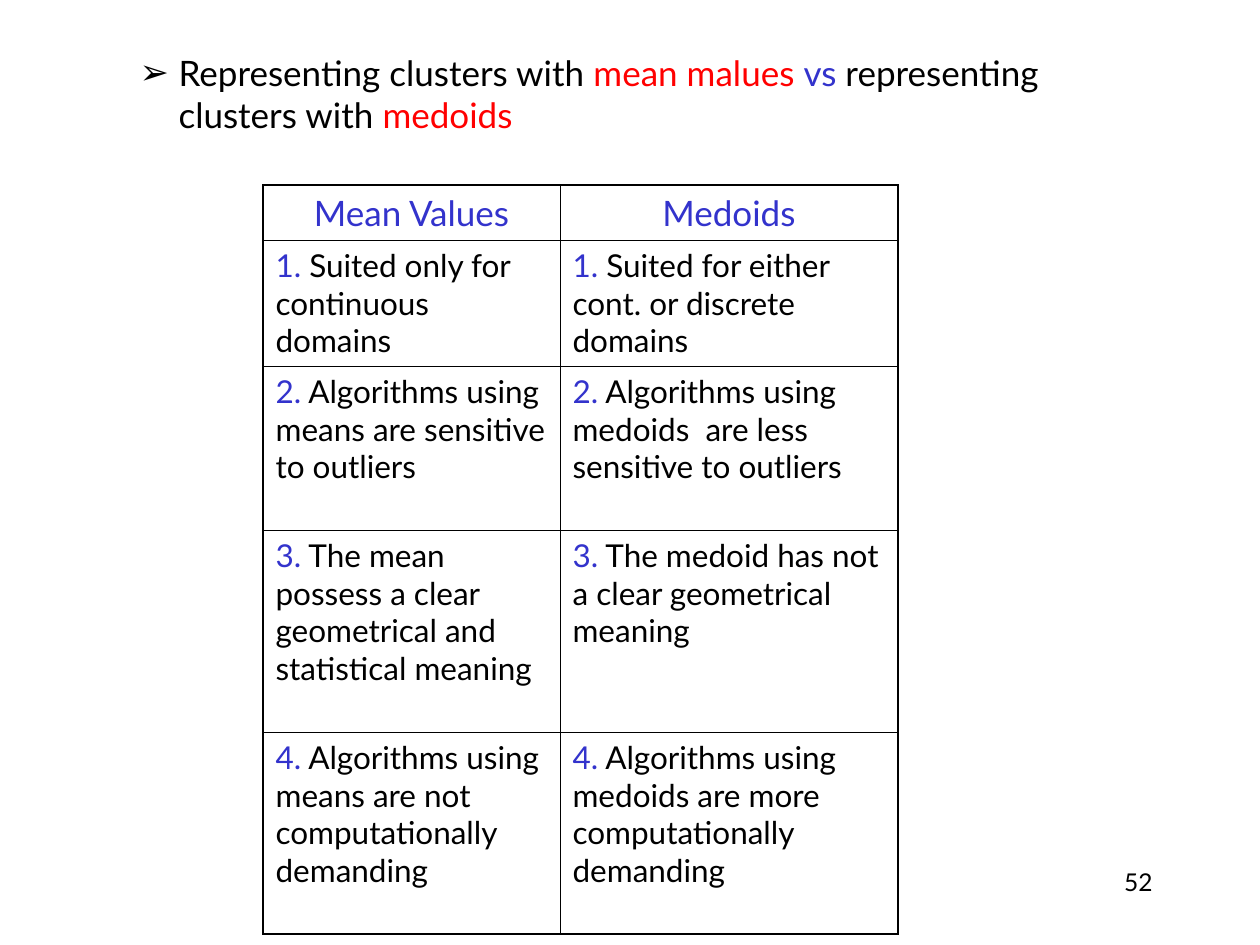
import pptx
import pptx.dml.color
import pptx.enum.text
import pptx.oxml.ns
import pptx.util
from dataclasses import dataclass
from lxml import etree

ALIGN = pptx.enum.text.PP_ALIGN
ANCHOR = pptx.enum.text.MSO_ANCHOR


@dataclass(frozen=True)
class Theme:
    font: str = "Lato"
    ink: str = "000000"
    blue: str = "3333CC"
    red: str = "FF0000"
    head: int = 20
    body: int = 18
    page: int = 14
    outer: float = 1.08
    inner: float = 0.45


T = Theme()

LEAD = [
    ("Representing clusters with ", T.ink),
    ("mean malues ", T.red),
    ("vs", T.blue),
    (" representing clusters with ", T.ink),
    ("medoids", T.red),
]
HEADS = ["Mean Values", "Medoids"]
POINTS = [
    ("Suited only for continuous domains",
     "Suited for either cont. or discrete domains"),
    ("Algorithms using means are sensitive to outliers",
     "Algorithms using medoids  are less sensitive to outliers"),
    ("The mean possess a clear geometrical and statistical meaning",
     "The medoid has not a clear geometrical meaning"),
    ("Algorithms using means are not computationally demanding",
     "Algorithms using medoids are more computationally demanding"),
]
PAGE = "52"

# Lengths in px, 126 to the inch
SLIDE = (1260, 945)
LEAD_BOX = (64, 45, 1071, 651)
HANG = (102, -39)
GRID_AT = (263, 185)
COLS = [297, 338]
ROWS = [55, 126, 164, 202, 202]
PAGE_BOX = (903, 861, 262, 63)


def px(n):
    return pptx.util.Emu(round(n * 914400 / 126))


def add(parent, tag, **attrs):
    """Append a DrawingML element."""
    return etree.SubElement(parent, pptx.oxml.ns.qn(tag), attrs)


def paint(node, color):
    add(add(node, "a:solidFill"), "a:srgbClr", val=color)


def write(para, runs, size, align=ALIGN.LEFT):
    para.alignment = align
    para.space_before = pptx.util.Pt(0)
    para.font.name = T.font
    para.font.size = pptx.util.Pt(size)
    for text, color in runs:
        run = para.add_run()
        run.text = text
        run.font.color.rgb = pptx.dml.color.RGBColor.from_string(color)


def edge(cell, row, col):
    """Draw cell borders, heavier along the outside of the table."""
    props = cell._tc.get_or_add_tcPr()
    sides = [
        ("a:lnL", col == 0),
        ("a:lnR", col == len(COLS) - 1),
        ("a:lnT", row == 0),
        ("a:lnB", row == len(ROWS) - 1),
    ]
    for tag, outer in sides:
        width = pptx.util.Pt(T.outer if outer else T.inner)
        paint(add(props, tag, w=str(width)), T.ink)


def add_lead(slide):
    slide.shapes.title.element.getparent().remove(slide.shapes.title.element)
    box = slide.placeholders[1]
    box.left, box.top, box.width, box.height = map(px, LEAD_BOX)
    box.text_frame.auto_size = pptx.enum.text.MSO_AUTO_SIZE.NONE
    para = box.text_frame.paragraphs[0]
    para.level = 1
    props = para._p.get_or_add_pPr()
    for key, gap in zip(("marL", "indent"), HANG):
        props.set(key, str(px(gap)))
    add(add(props, "a:buClr"), "a:srgbClr", val=T.ink)
    add(props, "a:buChar", char="➢")
    write(para, LEAD, T.head)


def add_grid(slide):
    size = (sum(COLS), sum(ROWS))
    table = slide.shapes.add_table(
        len(ROWS), len(COLS), *map(px, GRID_AT + size)).table
    table.first_row = table.horz_banding = False
    for col, width in zip(table.columns, COLS):
        col.width = px(width)
    for r, height in enumerate(ROWS):
        table.rows[r].height = px(height)
        for c in range(len(COLS)):
            cell = table.cell(r, c)
            edge(cell, r, c)
            cell.fill.background()
            para = cell.text_frame.paragraphs[0]
            if r == 0:
                cell.vertical_anchor = ANCHOR.MIDDLE
                write(para, [(HEADS[c], T.blue)], T.head, ALIGN.CENTER)
            else:
                runs = [(f"{r}.", T.blue), (" " + POINTS[r - 1][c], T.ink)]
                write(para, runs, T.body)


def add_page(slide):
    frame = slide.shapes.add_textbox(*map(px, PAGE_BOX)).text_frame
    frame.word_wrap = True
    write(frame.paragraphs[0], [(PAGE, T.ink)], T.page, ALIGN.RIGHT)


def main():
    deck = pptx.Presentation()
    deck.slide_width, deck.slide_height = map(px, SLIDE)
    slide = deck.slides.add_slide(deck.slide_layouts[1])
    add_lead(slide)
    add_grid(slide)
    add_page(slide)
    deck.save("out.pptx")


if __name__ == "__main__":
    main()
